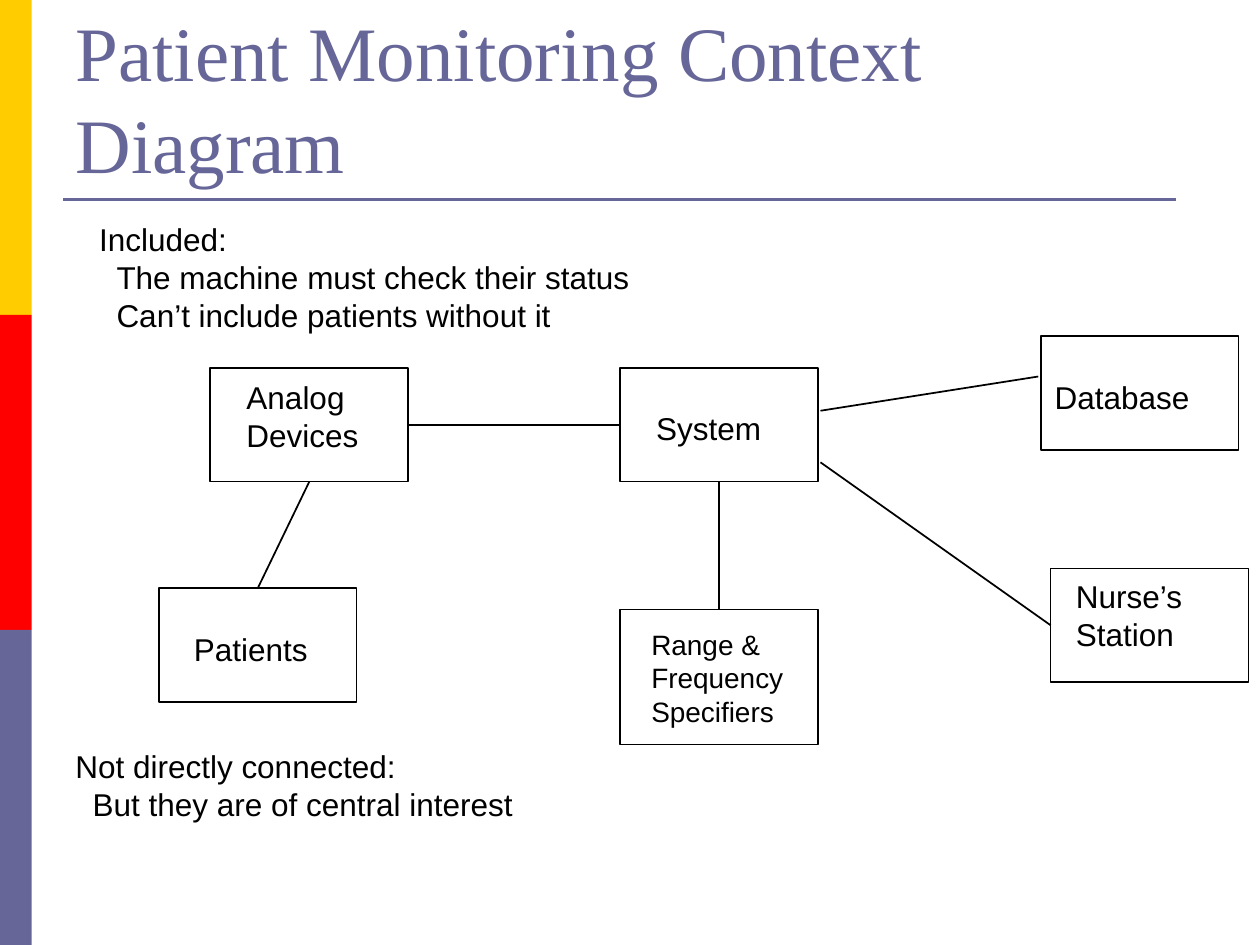
from lxml.etree import SubElement
from pptx import Presentation
from pptx.dml.color import RGBColor
from pptx.enum.shapes import MSO_CONNECTOR as Link, MSO_SHAPE as Shape
from pptx.enum.text import MSO_ANCHOR as Anchor, MSO_AUTO_SIZE as AutoSize, PP_ALIGN as Align
from pptx.oxml.ns import qn
from pptx.util import Cm, Pt

BLACK = RGBColor(0x00, 0x00, 0x00)
YELLOW = RGBColor(0xFF, 0xCC, 0x00)
RED = RGBColor(0xFF, 0x00, 0x00)
SLATE = RGBColor(0x66, 0x66, 0x99)

TOP, LEFT, BOTTOM, RIGHT = range(4)
NODE_WIDTH, NODE_HEIGHT = 3.99, 2.29
BAND_WIDTH, BAND_HEIGHT = 0.64, 6.35


def write(frame, lines, size=18, font="Arial", color=BLACK, indent=0):
    """Fill a text frame, indenting every line after the first."""
    for number, line in enumerate(lines):
        para = frame.paragraphs[0] if number == 0 else frame.add_paragraph()
        para.alignment = Align.LEFT
        if number and indent:
            para._p.get_or_add_pPr().set("marL", str(Cm(indent)))
        span = para.add_run()
        span.text = line
        span.font.size = Pt(size)
        span.font.name = font
        span.font.color.rgb = color


def add_title(page, text):
    """Move and format the title placeholder."""
    title = page.shapes.title
    title.left, title.top, title.width, title.height = Cm(1.27), Cm(0.76), Cm(22.86), Cm(3.18)
    frame = title.text_frame
    frame.vertical_anchor = Anchor.BOTTOM
    frame.auto_size = AutoSize.NONE
    frame.word_wrap = True
    write(frame, [text], size=44, font="Times New Roman", color=SLATE)


def add_rectangle(page, left, top, width, height, fill=None):
    """Add a filled band, or an outlined box when no fill is given."""
    box = page.shapes.add_shape(Shape.RECTANGLE, Cm(left), Cm(top), Cm(width), Cm(height))
    box.shadow.inherit = False
    if fill is None:
        box.fill.background()
        box.line.color.rgb = BLACK
        box.line.width = Pt(1)
    else:
        box.fill.solid()
        box.fill.fore_color.rgb = fill
        box.line.fill.background()
    return box


def add_text(page, lines, left, top, width, height, **style):
    """Add a text box that grows with its lines."""
    box = page.shapes.add_textbox(Cm(left), Cm(top), Cm(width), Cm(height))
    box.text_frame.word_wrap = True
    box.text_frame.auto_size = AutoSize.SHAPE_TO_FIT_TEXT
    write(box.text_frame, lines, **style)


def add_line(page, start, end, color=BLACK, width=1, begin=None, finish=None):
    """Draw a straight line, joined to (box, side) pairs where given."""
    line = page.shapes.add_connector(Link.STRAIGHT, *map(Cm, start + end))
    line.line.color.rgb = color
    line.line.width = Pt(width)
    SubElement(line._element.spPr, qn("a:effectLst"))
    if begin:
        line.begin_connect(*begin)
    if finish:
        line.end_connect(*finish)


def add_diagram(page):
    """Draw the boxes, the lines between them and their labels."""
    places = {
        "analog": (4.24, 7.42),
        "patients": (3.2, 11.86),
        "system": (12.5, 7.42),
        "range": (12.5, 12.29),
        "database": (20.98, 6.78),
        "nurse": (21.18, 11.46),
    }
    nodes = {
        name: add_rectangle(page, *place, NODE_WIDTH, 2.72 if name == "range" else NODE_HEIGHT)
        for name, place in places.items()
    }

    joins = [
        ("analog", RIGHT, "system", LEFT),
        ("analog", BOTTOM, "patients", TOP),
        ("system", BOTTOM, "range", TOP),
    ]
    for source, side, target, other in joins:
        add_line(page, (0, 0), (0, 0), begin=(nodes[source], side), finish=(nodes[target], other))
    add_line(page, (16.54, 8.28), (20.93, 7.59))
    add_line(page, (16.54, 9.32), (21.18, 12.6), finish=(nodes["nurse"], LEFT))

    add_text(page, ["Analog", "Devices"], 4.72, 7.49, 3, 1.78)
    add_text(page, ["Patients"], 3.66, 12.57, 3.1, 1.02)
    add_text(page, ["System"], 12.98, 8.13, 2.9, 1.02)
    add_text(page, ["Database"], 21.01, 7.49, 3.5, 1.02)
    add_text(page, ["Nurse’s", "Station"], 21.44, 11.51, 2.9, 1.78)
    add_text(page, ["Range &", "Frequency", "Specifiers"], 12.88, 12.52, 3.4, 2.29, size=16)


def main():
    """Build the slide and save it."""
    deck = Presentation()
    deck.slide_width, deck.slide_height = Cm(25.4), Cm(19.05)
    page = deck.slides.add_slide(deck.slide_layouts[5])

    for row, color in enumerate((YELLOW, RED, SLATE)):
        add_rectangle(page, 0, row * BAND_HEIGHT, BAND_WIDTH, BAND_HEIGHT, fill=color)
    add_line(page, (1.27, 4.02), (23.7, 4.02), color=SLATE, width=1.5)
    add_title(page, "Patient Monitoring Context Diagram")

    add_diagram(page)
    add_text(page, ["Not directly connected:", "But they are of central interest"],
             1.27, 14.94, 9.8, 1.78, indent=0.35)
    add_text(page, ["Included:", "The machine must check their status",
                    "Can’t include patients without it"],
             1.75, 4.32, 11.6, 2.54, indent=0.35)
    deck.save("out.pptx")


if __name__ == "__main__":
    main()
